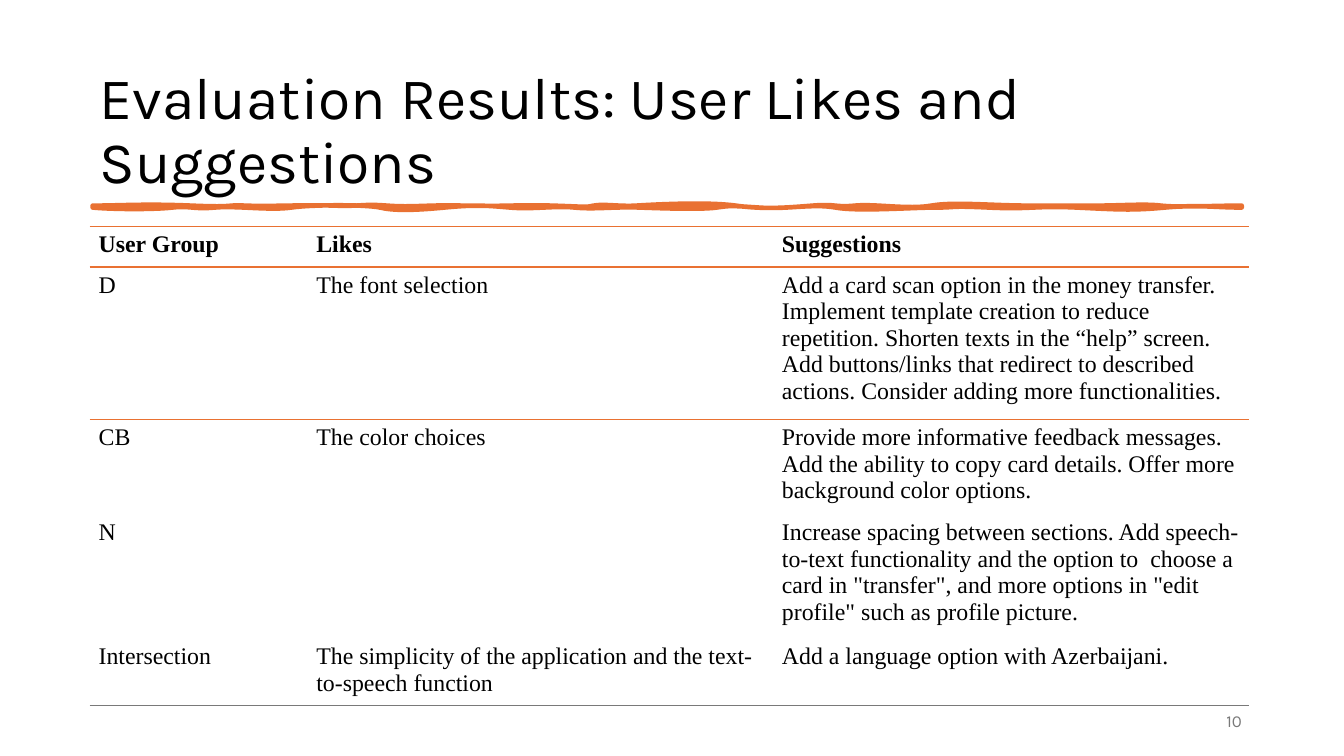
from lxml import etree
from pptx import Presentation
from pptx.dml.color import RGBColor
from pptx.enum.text import MSO_ANCHOR as Anchor, PP_ALIGN as Align
from pptx.oxml.ns import qn
from pptx.util import Pt

BLACK = RGBColor(0x00, 0x00, 0x00)
WHITE = RGBColor(0xFF, 0xFF, 0xFF)
ORANGE = RGBColor(0xE9, 0x71, 0x32)
GRAY = RGBColor(0x79, 0x79, 0x79)

NO_STYLE = "{2D5ABB26-0587-4C30-8999-92F81FD0307C}"
COL_WIDTHS = [155.5, 332.6, 339.9]
ROW_HEIGHTS = [28.8, 107.3, 67, 87.1, 47.5]
ROWS = [
    ("User Group", "Likes", "Suggestions"),
    ("D", "The font selection",
     "Add a card scan option in the money transfer. Implement template creation "
     "to reduce repetition. Shorten texts in the “help” screen. Add buttons/links "
     "that redirect to described actions. Consider adding more functionalities."),
    ("CB", "The color choices",
     "Provide more informative feedback messages. Add the ability to copy card "
     "details. Offer more background color options."),
    ("N", "",
     "Increase spacing between sections. Add speech-to-text functionality and the "
     'option to  choose a card in "transfer", and more options in "edit profile" '
     "such as profile picture."),
    ("Intersection",
     "The simplicity of the application and the text-to-speech function",
     "Add a language option with Azerbaijani."),
]

# Brush edges: each curve is (x1, rise1, x2, rise2, end x), rises from the edge's own level
BRUSH_LEFT, BRUSH_RIGHT = 66.2, 887
BRUSH_TOP, BRUSH_BOTTOM = 146.9, 148.3
TOP_CURVES = [
    (85.7, 0, 103.7, -1.4, 136.8), (170.6, 1.4, 158.4, -0.7, 175.7),
    (192.2, 0.7, 218.2, -0.7, 238.3), (259.2, 0.7, 258.5, -1.4, 276.5),
    (295.2, 1.4, 304.6, -0.7, 331.2), (358.6, 0.7, 370.1, -0.7, 394.6),
    (418.3, 0.7, 418.3, 1.4, 424.1), (430.6, -1.4, 442.8, 0.7, 454.3),
    (465.8, -0.7, 504.7, -2.9, 525.6), (546.5, 2.9, 562.3, 1.4, 580.3),
    (598.3, -1.4, 595.4, 1.4, 610.6), (625, -1.4, 648.7, 2.9, 665.3),
    (681.8, -2.9, 707, 0, 736.6), (765.4, 0, 765.4, 0, 782.6),
    (800.6, 0, 817.9, -1.4, 829.4), (841, 1.4, 866.2, 0, BRUSH_RIGHT),
]
BOTTOM_CURVES = [
    (867.6, 0, 856.1, -2.2, 832.3), (807.8, 2.2, 799.2, 1.4, 769),
    (739.4, -1.4, 736.6, 1.4, 706.3), (676.1, -1.4, 685.4, 0, 668.2),
    (650.9, 0, 612.7, 2.9, 596.9), (580.3, -2.9, 563, 1.4, 542.2),
    (521.3, -1.4, 522, -1.4, 511.9), (502.6, 1.4, 475.9, 0.7, 457.2),
    (438.5, -0.7, 424.8, 1.4, 410.4), (396.7, -1.4, 380.2, 1.4, 364.3),
    (347.8, -1.4, 340.6, -2.2, 317.5), (294.5, 2.2, 280.8, 2.2, 271.4),
    (261.4, -2.2, 223.2, -2.2, 208.1), (193, 2.2, 169.2, -1.4, 153.4),
    (138.2, 1.4, 136.1, -1.4, 123.1), (110.9, 1.4, 82.1, 1.4, BRUSH_LEFT),
]


def set_font(p, name, size, color, bold=False):
    p.font.name, p.font.size, p.font.bold = name, Pt(size), bold
    p.font.color.rgb = color


def add_text(slide, text, box, size, color, align=Align.LEFT, spacing=1.0):
    tf = slide.shapes.add_textbox(*map(Pt, box)).text_frame
    tf.word_wrap = True
    tf.vertical_anchor = Anchor.MIDDLE
    p = tf.paragraphs[0]
    p.text, p.alignment, p.line_spacing = text, align, spacing
    set_font(p, "Karla", size, color)
    return p


def curve_points(level, curves):
    """Two control points and an end point for each curve of one edge."""
    points = []
    for x1, rise1, x2, rise2, end in curves:
        points += [(x1, level + rise1), (x2, level + rise2), (end, level)]
    return points


def bend_segments(sp):
    """Turn every three straight segments into one Bezier curve."""
    segments = list(sp._element.iter(qn("a:lnTo")))
    for first, second, third in zip(segments[::3], segments[1::3], segments[2::3]):
        first.tag = qn("a:cubicBezTo")
        for segment in (second, third):
            first.append(segment[0])
            segment.getparent().remove(segment)


def add_brush_line(slide):
    right_end = [(BRUSH_RIGHT, BRUSH_BOTTOM)] * 3
    points = (curve_points(BRUSH_TOP, TOP_CURVES) + right_end
              + curve_points(BRUSH_BOTTOM, BOTTOM_CURVES))
    builder = slide.shapes.build_freeform(
        BRUSH_LEFT * 100, BRUSH_TOP * 100, scale=Pt(1) / 100)
    builder.add_line_segments([(x * 100, y * 100) for x, y in points], close=True)
    sp = builder.convert_to_shape()
    bend_segments(sp)
    sp.shadow.inherit = False
    sp.fill.solid()
    sp.fill.fore_color.rgb = ORANGE
    sp.line.color.rgb = ORANGE
    sp.line.width = Pt(3.25)
    etree.SubElement(sp._element.spPr.find(qn("a:ln")), qn("a:round"))


def set_border(cell, side, color, width):
    ln = etree.Element(qn("a:" + side), w=str(Pt(width)))
    fill = etree.SubElement(ln, qn("a:solidFill"))
    etree.SubElement(fill, qn("a:srgbClr"), val=str(color))
    cell._tc.get_or_add_tcPr().insert(0, ln)


def add_results_table(slide):
    table = slide.shapes.add_table(
        len(ROWS), len(COL_WIDTHS), Pt(64.1), Pt(162),
        Pt(sum(COL_WIDTHS)), Pt(sum(ROW_HEIGHTS))).table
    table.first_row = table.horz_banding = False
    table._tbl.tblPr.find(qn("a:tableStyleId")).text = NO_STYLE
    for col, width in zip(table.columns, COL_WIDTHS):
        col.width = Pt(width)
    row_borders = {
        0: ("lnT", ORANGE, 1),
        1: ("lnT", ORANGE, 1.5),
        len(ROWS) - 1: ("lnB", GRAY, 0.75),
    }
    for r, texts in enumerate(ROWS):
        table.rows[r].height = Pt(ROW_HEIGHTS[r])
        for c, text in enumerate(texts):
            cell = table.cell(r, c)
            cell.fill.solid()
            cell.fill.fore_color.rgb = WHITE
            cell.margin_left = cell.margin_right = Pt(6.4)
            cell.margin_top = cell.margin_bottom = Pt(3.4)
            if r in row_borders:
                set_border(cell, *row_borders[r])
            p = cell.text_frame.paragraphs[0]
            p.text = text
            set_font(p, "Times New Roman", 17, BLACK, bold=r == 0)


def main():
    prs = Presentation()
    prs.slide_width, prs.slide_height = Pt(960), Pt(540)
    slide = prs.slides.add_slide(prs.slide_layouts[6])

    # Title and brush line
    add_text(slide, "Evaluation Results: User Likes and Suggestions",
             (64.1, 42.5, 828, 104.4), 42, BLACK, spacing=0.9)
    add_brush_line(slide)

    # Slide number
    number = add_text(slide, "10", (678.2, 500.4, 216, 28.8), 12, GRAY, Align.RIGHT)
    number.space_after = Pt(6)

    # Likes and suggestions by user group
    add_results_table(slide)

    prs.save("out.pptx")


if __name__ == "__main__":
    main()
